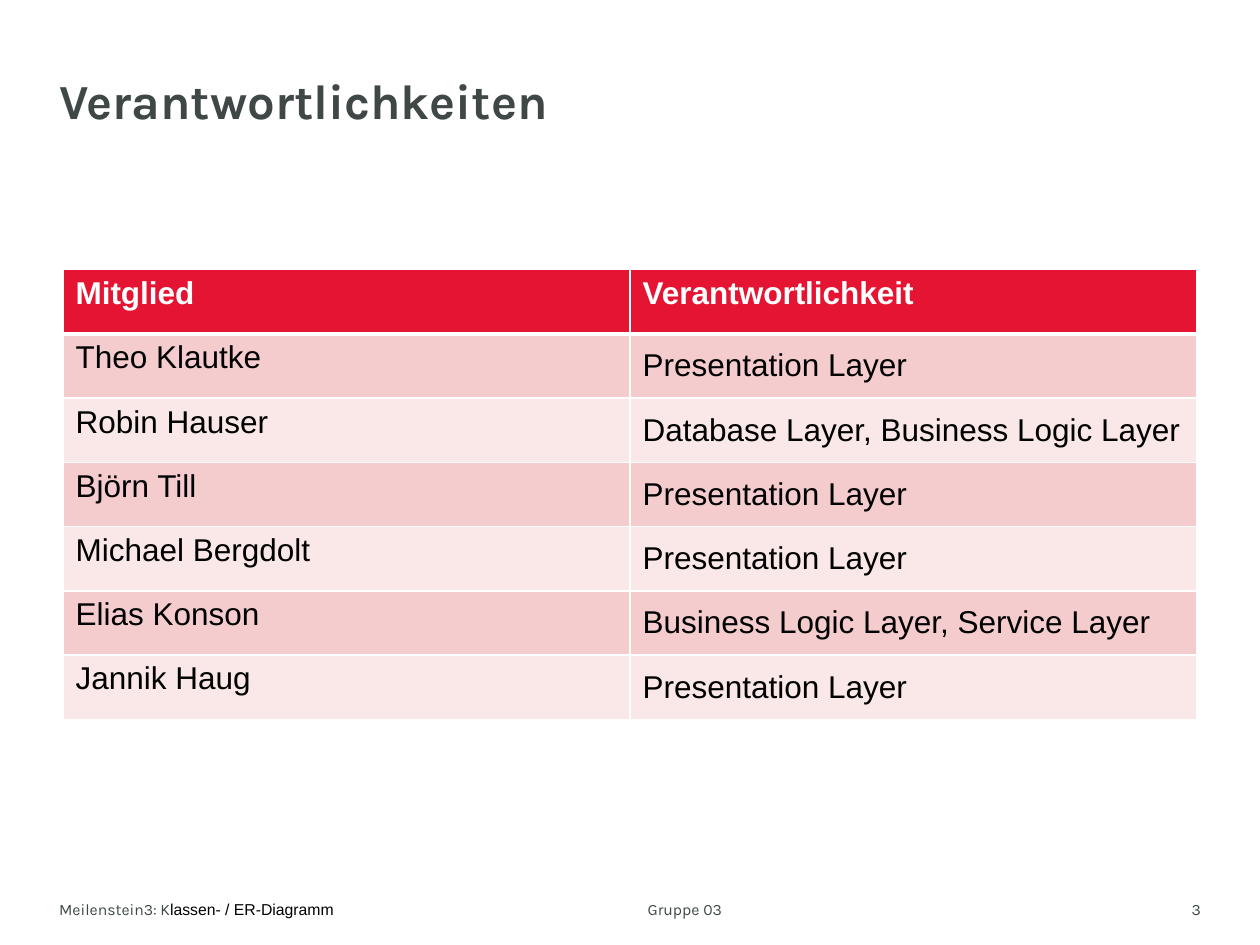
from lxml.etree import SubElement
from pptx import Presentation
from pptx.dml.color import RGBColor
from pptx.enum.text import MSO_ANCHOR, PP_ALIGN
from pptx.oxml.ns import qn
from pptx.util import Inches, Pt

COLORS = {
    "slate": "3F4847",
    "black": "000000",
    "white": "FFFFFF",
    "header": "E51433",
    "band_dark": "F5CCCE",
    "band_light": "FAE7E8",
}
HEADINGS = ("Mitglied", "Verantwortlichkeit")
MEMBERS = [
    ("Theo Klautke", "Presentation Layer"),
    ("Robin Hauser", "Database Layer, Business Logic Layer"),
    ("Björn Till", "Presentation Layer"),
    ("Michael Bergdolt", "Presentation Layer"),
    ("Elias Konson", "Business Logic Layer, Service Layer"),
    ("Jannik Haug", "Presentation Layer"),
]


def rgb(name):
    return RGBColor.from_string(COLORS[name])


def style(font, size, family, color, bold=False):
    font.size = Pt(size)
    font.name = family
    font.color.rgb = rgb(color)
    font.bold = bold


def add_line(slide, left, top, width, height):
    frame = slide.shapes.add_textbox(
        Inches(left), Inches(top), Inches(width), Inches(height)
    ).text_frame
    frame.word_wrap = True
    frame.vertical_anchor = MSO_ANCHOR.BOTTOM
    frame.margin_left = frame.margin_top = 0
    frame.margin_right = frame.margin_bottom = 0
    return frame.paragraphs[0]


def add_title(slide, left, top, width, height):
    title = add_line(slide, left, top, width, height)
    title.text = "Verantwortlichkeiten"
    title.line_spacing = Pt(30)
    style(title.font, 28, "Karla", "slate", bold=True)


def add_borders(cell, bottom_width, top_width):
    properties = cell._tc.get_or_add_tcPr()
    widths = {"a:lnL": 1, "a:lnR": 1, "a:lnT": top_width, "a:lnB": bottom_width}
    for position, (side, width) in enumerate(widths.items()):
        line = SubElement(properties, qn(side), w=str(Pt(width)))
        properties.insert(position, line)
        fill = SubElement(line, qn("a:solidFill"))
        SubElement(fill, qn("a:srgbClr"), val=COLORS["white"])


def add_responsibilities(slide, left, top, width, height):
    rows = [HEADINGS, *MEMBERS]
    table = slide.shapes.add_table(
        len(rows), len(HEADINGS),
        Inches(left), Inches(top), Inches(width), Inches(height),
    ).table
    for row, entries in enumerate(rows):
        is_header = row == 0
        band = "header" if is_header else "band_dark" if row % 2 else "band_light"
        for column, entry in enumerate(entries):
            cell = table.cell(row, column)
            cell.text = entry
            cell.fill.solid()
            cell.fill.fore_color.rgb = rgb(band)
            if column == 1 and not is_header:
                cell.vertical_anchor = MSO_ANCHOR.MIDDLE
            style(cell.text_frame.paragraphs[0].font, 18, "Arial",
                  "white" if is_header else "black", bold=is_header)
            add_borders(cell, 3 if is_header else 1, 3 if row == 1 else 1)


def add_footer(slide, left, top, width, height):
    footer = add_line(slide, left, top, width, height)
    tabs = SubElement(footer._p.get_or_add_pPr(), qn("a:tabLst"))
    SubElement(tabs, qn("a:tab"), pos=str(Inches(4.67)), algn="l")
    for text, family, color in (
        ("Meilenstein3: K", "Karla", "slate"),
        ("lassen- / ER-Diagramm", "Arial", "black"),
        ("\tGruppe 03", "Karla", "slate"),
    ):
        run = footer.add_run()
        run.text = text
        style(run.font, 9, family, color)

    number_width = 0.75
    number = add_line(slide, left + width - number_width, top, number_width, height)
    number.text = "3"
    number.alignment = PP_ALIGN.RIGHT
    style(number.font, 9, "Karla", "slate")


def main():
    presentation = Presentation()
    presentation.slide_width = Inches(10)
    presentation.slide_height = Inches(7.5)
    slide = presentation.slides.add_slide(presentation.slide_layouts[6])
    add_footer(slide, 0.47, 7.08, 9.06, 0.21)
    add_title(slide, 0.47, 0.24, 9, 0.79)
    add_responsibilities(slide, 0.5, 2.14, 9, 3.57)
    presentation.save("out.pptx")


if __name__ == "__main__":
    main()
